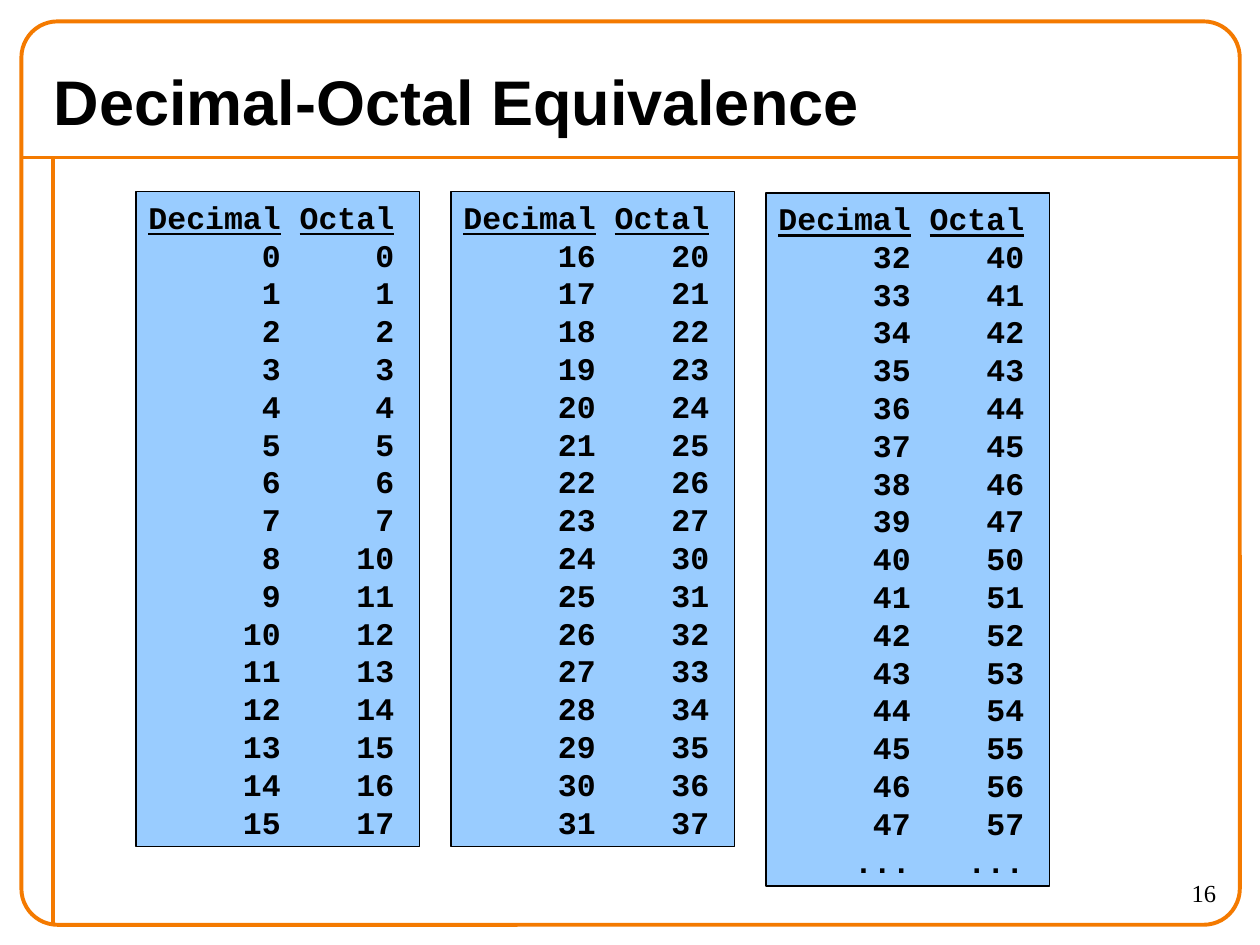
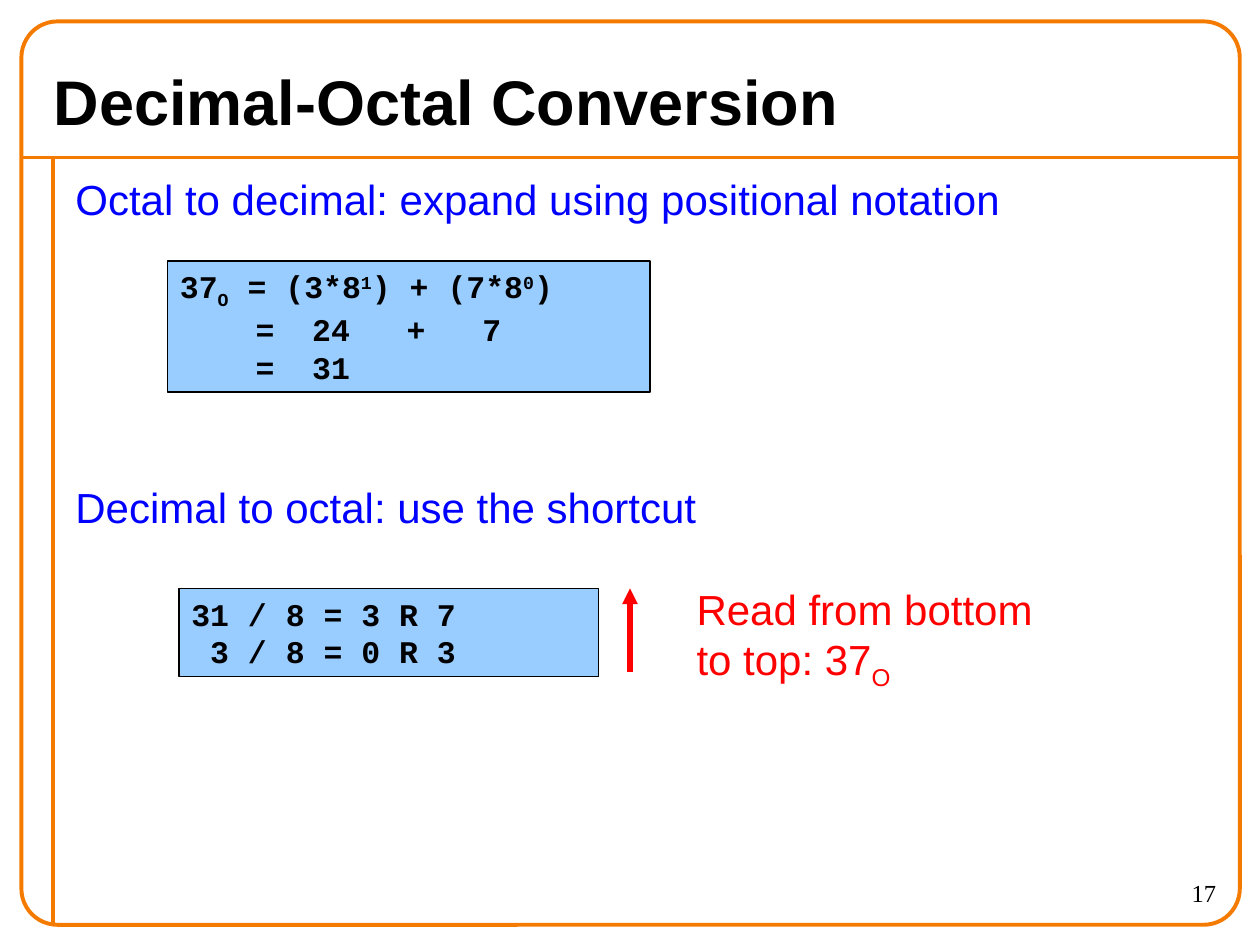
"""Build two slides on decimal and octal numbers."""
import lxml.etree
import pptx
import pptx.dml.color
import pptx.enum.shapes
import pptx.enum.text
import pptx.oxml.ns
import pptx.util

Inches = pptx.util.Inches
Pt = pptx.util.Pt
qn = pptx.oxml.ns.qn
colour = pptx.dml.color.RGBColor.from_string
ORANGE, PALE_BLUE, BLACK, BLUE, RED = "F47A00", "99CCFF", "000000", "0000FF", "FF0000"
MIDDLE = pptx.enum.text.MSO_ANCHOR.MIDDLE
CHAR_WIDTH = 0.15


def add_text(page, place, lines, font, size, ink, bold=False, panel=False, tabs=()):
    """Add a text box or filled panel; each line is a list of runs, each tab a (position, alignment)."""
    left, top, width, height = [Inches(value) for value in place]
    if panel:
        box = page.shapes.add_shape(pptx.enum.shapes.MSO_SHAPE.RECTANGLE, left, top, width, height)
        box.shadow.inherit = False
        box.fill.solid()
        box.fill.fore_color.rgb = colour(PALE_BLUE)
        box.line.color.rgb = colour(BLACK)
        box.line.width = Pt(1)
        box.text_frame.vertical_anchor = MIDDLE
    else:
        box = page.shapes.add_textbox(left, top, width, height)
    frame = box.text_frame
    frame.word_wrap = True
    for number, line in enumerate(lines):
        para = frame.add_paragraph() if number else frame.paragraphs[0]
        para.alignment = pptx.enum.text.PP_ALIGN.LEFT
        if tabs:
            stops = lxml.etree.SubElement(para._p.get_or_add_pPr(), qn("a:tabLst"))
            for position, alignment in tabs:
                lxml.etree.SubElement(stops, qn("a:tab"), pos=str(Inches(position)), algn=alignment)
        for text in line:
            span = para.add_run()
            span.text = text
            span.font.name = font
            span.font.size = Pt(size)
            span.font.bold = bold
            span.font.color.rgb = colour(ink)
    return box


def add_line(page, start, end, ink, width):
    """Add a straight line without a shadow."""
    points = [Inches(value) for value in (*start, *end)]
    line = page.shapes.add_connector(pptx.enum.shapes.MSO_CONNECTOR.STRAIGHT, *points)
    line.line.color.rgb = colour(ink)
    line.line.width = Pt(width)
    lxml.etree.SubElement(line._element.spPr, qn("a:effectLst"))
    return line


deck = pptx.Presentation()
deck.slide_width = Inches(10)
deck.slide_height = Inches(7.5)

pages = []
for number, title in [(16, "Decimal-Octal Equivalence"), (17, "Decimal-Octal Conversion")]:
    page = deck.slides.add_slide(deck.slide_layouts[6])
    add_line(page, (0.17, 1.25), (9.83, 1.25), ORANGE, 2.25)
    add_line(page, (0.42, 1.25), (0.42, 7.33), ORANGE, 2.25)
    border = page.shapes.add_shape(
        pptx.enum.shapes.MSO_SHAPE.ROUNDED_RECTANGLE,
        Inches(0.17), Inches(0.17), Inches(9.67), Inches(7.17))
    border.adjustments[0] = 0.04
    border.shadow.inherit = False
    border.fill.background()
    border.line.color.rgb = colour(ORANGE)
    border.line.width = Pt(2.25)
    heading = add_text(page, (0.33, 0.42, 9.33, 0.75), [[title]], "Arial", 36, BLACK, bold=True)
    heading.text_frame.vertical_anchor = MIDDLE
    footer = add_text(page, (8.75, 6.92, 1, 0.42), [[str(number)]], "Times New Roman", 14, BLACK)
    footer.text_frame.paragraphs[0].alignment = pptx.enum.text.PP_ALIGN.RIGHT
    pages.append(page)
equivalence, conversion = pages

column_ends = [(7 * CHAR_WIDTH, "r"), (13 * CHAR_WIDTH, "r")]
for column, (top, height) in enumerate([(1.52, 5.2), (1.52, 5.2), (1.53, 5.5)]):
    rows = [["Decimal", " ", "Octal"]]
    rows += [[f"\t{value}\t{value:o}"] for value in range(16 * column, 16 * column + 16)]
    if column == 2:
        rows.append(["\t...\t..."])
    panel = add_text(equivalence, (1.08 + 2.5 * column, top, 2.25, height), rows,
                     "Courier New", 18, BLACK, bold=True, panel=True, tabs=column_ends)
    for span in panel.text_frame.paragraphs[0].runs[::2]:
        span.font.underline = True

topics = add_text(conversion, (0.5, 1.33, 9.25, 6),
                  [["Octal to decimal: expand using positional notation"],
                   ["Decimal to octal: use the shortcut"]], "Arial", 24, BLUE)
topics.text_frame.paragraphs[1].space_before = Pt(147)

expansion = add_text(conversion, (1.33, 2.07, 3.83, 1.04),
                     [["37", "O", " = (3*8", "1", ") + (7*8", "0", ")"],
                      ["\t=\t24\t+\t7"], ["\t=\t31"]],
                     "Courier New", 18, BLACK, bold=True, panel=True,
                     tabs=[(count * CHAR_WIDTH, "l") for count in (4, 7, 12, 16)])
add_text(conversion, (1.42, 4.67, 3.33, 0.7), [["31 / 8 = 3 R 7"], ["\t3 / 8 = 0 R 3"]],
         "Courier New", 18, BLACK, bold=True, panel=True, tabs=[(CHAR_WIDTH, "l")])

arrow = add_line(conversion, (5, 5.33), (5, 4.67), RED, 3)
lxml.etree.SubElement(arrow.line._get_or_add_ln(), qn("a:tailEnd"), type="triangle")
reading = add_text(conversion, (5.43, 4.58, 2.87, 0.96),
                   [["Read from bottom"], ["to top: 37", "O"]], "Arial", 24, RED)
reading.text_frame.word_wrap = False

expansion_spans = expansion.text_frame.paragraphs[0].runs
reading_spans = reading.text_frame.paragraphs[1].runs
for span, baseline in [(expansion_spans[1], -25), (expansion_spans[3], 30),
                       (expansion_spans[5], 30), (reading_spans[1], -25)]:
    span._r.get_or_add_rPr().set("baseline", str(baseline * 1000))

deck.save("out.pptx")
